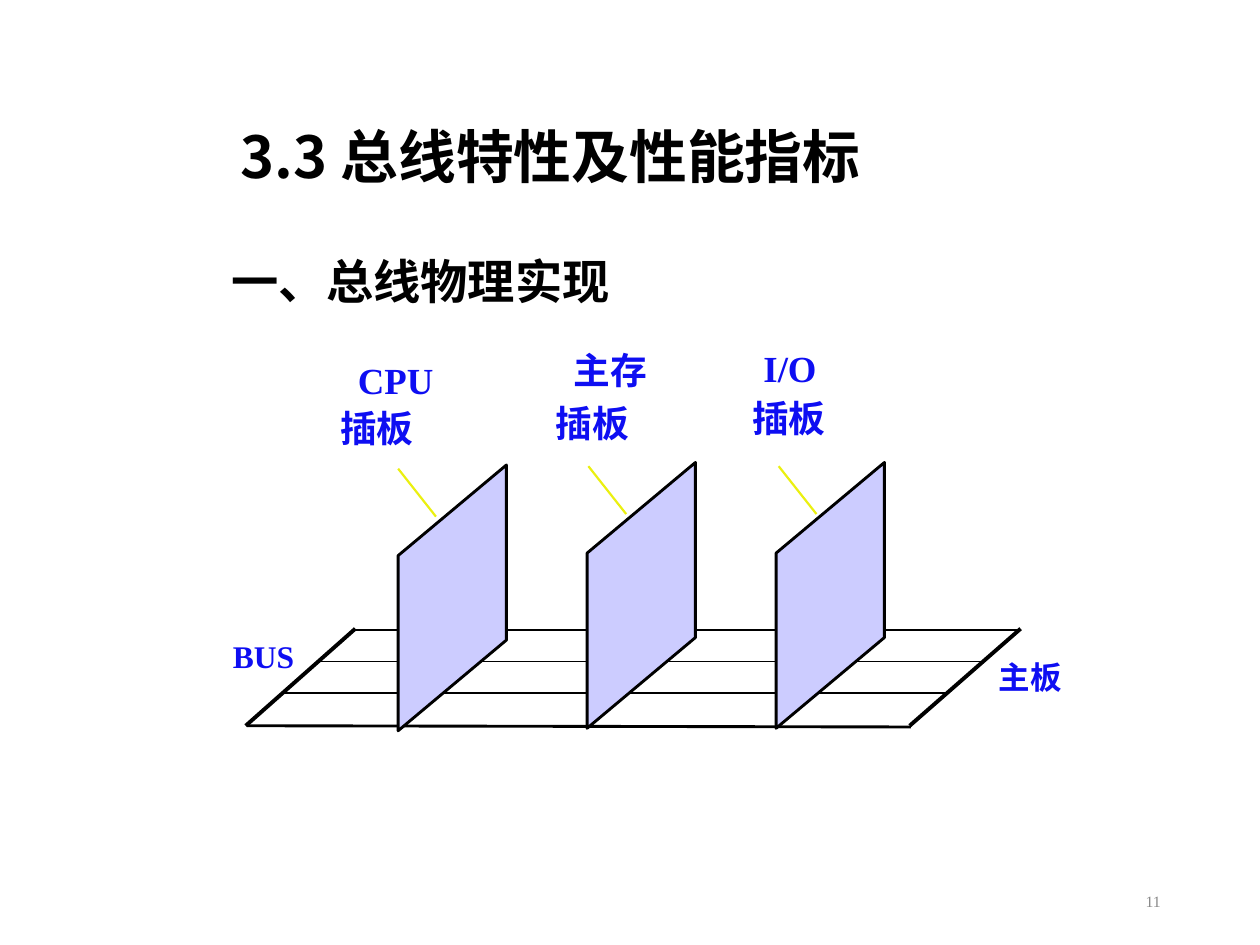
"""Build the slide on bus characteristics: three plug-in boards on a mainboard bus."""
from lxml.etree import SubElement
from pptx import Presentation
from pptx.dml.color import RGBColor
from pptx.enum.shapes import MSO_CONNECTOR
from pptx.enum.text import MSO_ANCHOR, PP_ALIGN
from pptx.oxml.ns import qn
from pptx.util import Inches, Pt

BLACK = RGBColor(0x00, 0x00, 0x00)
BLUE = RGBColor(0x0E, 0x0E, 0xF2)
YELLOW = RGBColor(0xEB, 0xF0, 0x10)
LAVENDER = RGBColor(0xCC, 0xCC, 0xFF)
GRAY = RGBColor(0x89, 0x89, 0x89)
SANS = "Noto Sans CJK SC"
SERIF = "Times New Roman"


def write(frame, text, size, font, color, bold=True, inset=None, wrap=False):
    frame.word_wrap = wrap
    if inset is not None:
        frame.margin_left = frame.margin_right = Inches(inset)
        frame.margin_top = frame.margin_bottom = Inches(inset)
    run = frame.paragraphs[0].add_run()
    run.text = text
    run.font.size = Pt(size)
    run.font.bold = bold
    run.font.name = font
    run.font.color.rgb = color
    SubElement(run.font._element, qn("a:ea")).set("typeface", SANS)


def draw_line(x1, y1, x2, y2, color, width):
    line = slide.shapes.add_connector(
        MSO_CONNECTOR.STRAIGHT, Inches(x1), Inches(y1), Inches(x2), Inches(y2))
    line.line.color.rgb = color
    line.line.width = Pt(width)
    SubElement(line._element.spPr, qn("a:effectLst"))


prs = Presentation()
prs.slide_width = Inches(10)
prs.slide_height = Inches(7.5)
slide = prs.slides.add_slide(prs.slide_layouts[5])

title = slide.shapes.title
title.left, title.top = Inches(1.81), Inches(0.8)
title.width, title.height = Inches(6.38), Inches(0.94)
heading = title.text_frame
heading.vertical_anchor = MSO_ANCHOR.MIDDLE
heading.paragraphs[0].alignment = PP_ALIGN.LEFT
heading.paragraphs[0].line_spacing = 0.9
write(heading, "3.3 总线特性及性能指标", 33, SANS, BLACK, wrap=True)

draw_line(1.96, 5.76, 7.23, 5.77, BLACK, 1.63)
for bus_left, bus_right, bus_y in [(2.81, 8.1, 5), (2.54, 7.82, 5.25), (2.26, 7.53, 5.5)]:
    draw_line(bus_left, bus_y, bus_right, bus_y, BLACK, 0.75)
for edge_top, edge_bottom in [(2.82, 1.95), (8.1, 7.22)]:
    draw_line(edge_top, 4.99, edge_bottom, 5.76, BLACK, 2.25)

boards = [
    (3.16, 3.69, 3.16, 3.72),
    (4.66, 3.67, 4.67, 3.7),
    (6.16, 3.67, 6.18, 3.7),
]
for left, top, pointer_x, pointer_y in boards:
    right = left + 0.86
    corners = [(right, top), (right, top + 1.39), (left, top + 2.11)]
    outline = slide.shapes.build_freeform(Inches(left), Inches(top + 0.72))
    outline.add_line_segments([(Inches(x), Inches(y)) for x, y in corners], close=True)
    board = outline.convert_to_shape()
    board.shadow.inherit = False
    board.fill.solid()
    board.fill.fore_color.rgb = LAVENDER
    board.line.color.rgb = BLACK
    board.line.width = Pt(1.63)
    draw_line(pointer_x, pointer_y, pointer_x + 0.3, pointer_y + 0.38, YELLOW, 1.25)

labels = [
    ("一、总线物理实现", 1.74, 1.95, 3.25, 0.56, 27, SERIF, BLACK, None),
    ("BUS", 1.75, 5.01, 0.69, 0.4, 18, SERIF, BLUE, None),
    ("主板", 7.83, 5.17, 0.71, 0.4, 18, SERIF, BLUE, None),
    ("CPU", 2.84, 2.84, 0.6, 0.35, 21, SERIF, BLUE, 0),
    ("插板", 2.7, 3.22, 0.59, 0.35, 21, SANS, BLUE, 0),
    ("主存", 4.55, 2.76, 0.59, 0.35, 21, SERIF, BLUE, 0),
    ("插板", 4.41, 3.18, 0.59, 0.35, 21, SANS, BLUE, 0),
    ("I/O", 6.06, 2.74, 0.43, 0.35, 21, SERIF, BLUE, 0),
    ("插板", 5.97, 3.14, 0.59, 0.35, 21, SANS, BLUE, 0),
]
for text, left, top, width, height, size, font, color, inset in labels:
    label = slide.shapes.add_textbox(Inches(left), Inches(top), Inches(width), Inches(height))
    write(label.text_frame, text, size, font, color, inset=inset)

page_number = slide.shapes.add_textbox(Inches(7.06), Inches(6.95), Inches(2.25), Inches(0.4))
page_number.text_frame.vertical_anchor = MSO_ANCHOR.MIDDLE
page_number.text_frame.paragraphs[0].alignment = PP_ALIGN.RIGHT
write(page_number.text_frame, "11", 9, SERIF, GRAY, bold=False, wrap=True)

prs.save("out.pptx")
